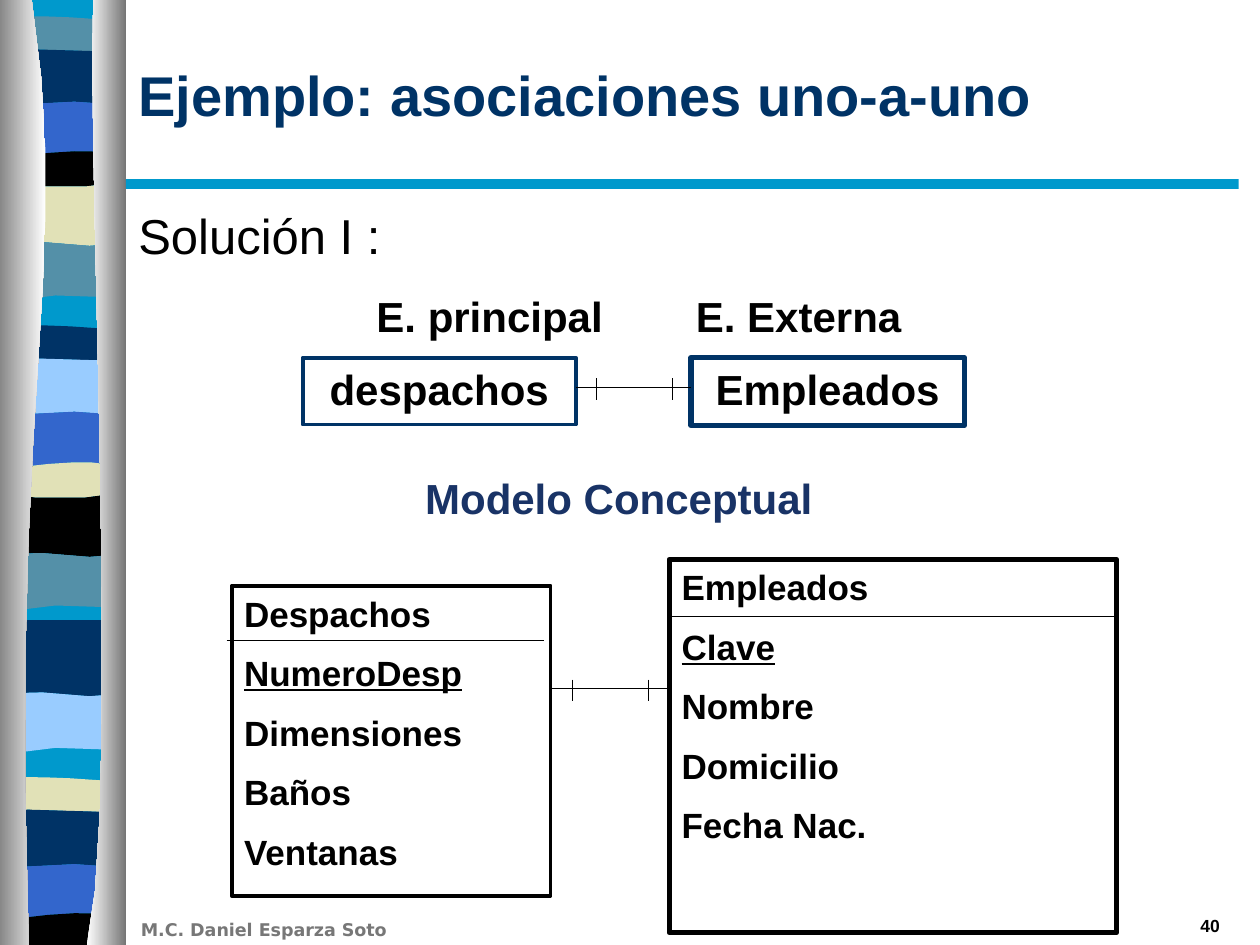
from lxml import etree
from pptx import Presentation
from pptx.dml.color import RGBColor
from pptx.enum.shapes import MSO_CONNECTOR, MSO_SHAPE
from pptx.enum.text import MSO_ANCHOR, PP_ALIGN
from pptx.oxml.ns import qn
from pptx.util import Cm, Pt

NAVY, CYAN, TEAL, BLUE = "003366", "0099CC", "5490A8", "3366CC"
SKY, SAND, BLACK, GREY = "99CCFF", "E1E1B7", "000000", "777777"
HEIGHT = 19.05
BAND_RIGHT = 2.49

deck = Presentation()
deck.slide_width, deck.slide_height = Cm(25.4), Cm(HEIGHT)
slide = deck.slides.add_slide(deck.slide_layouts[6])
shapes = slide.shapes


def draw_outline(*edges, steps=3):
    """Draw a shape from edges in cm, each a chain of cubic curves or a single corner."""
    points = []
    for edge in edges:
        points.append(edge[0])
        for first in range(0, len(edge) - 1, 3):
            curve = edge[first:first + 4]
            for step in range(1, steps + 1):
                t = step / steps
                weights = (1 - t) ** 3, 3 * t * (1 - t) ** 2, 3 * t * t * (1 - t), t ** 3
                points.append(tuple(sum(w * p[axis] for w, p in zip(weights, curve))
                                    for axis in (0, 1)))
    points = [(Cm(x), Cm(y)) for x, y in points]
    builder = shapes.build_freeform(*points[0])
    builder.add_line_segments(points[1:], close=True)
    outline = builder.convert_to_shape()
    outline.shadow.inherit = False
    outline.line.fill.background()
    return outline


def write(frame, lines, size, color=BLACK, align=PP_ALIGN.LEFT, underlined=None,
          bold=True, font="Arial", anchor=MSO_ANCHOR.TOP):
    frame.word_wrap = True
    frame.vertical_anchor = anchor
    for number, line in enumerate(lines):
        paragraph = frame.paragraphs[0] if number == 0 else frame.add_paragraph()
        paragraph.alignment = align
        paragraph.space_before = Pt(10 if number else 0)
        run = paragraph.add_run()
        run.text = line
        run.font.color.rgb = RGBColor.from_string(color)
        font_format = {"name": font, "size": Pt(size), "bold": bold,
                       "underline": line == underlined}
        for attribute, value in font_format.items():
            setattr(run.font, attribute, value)


# Wavy bands: every edge form is an offset from the band's own height
waves = {
    "flat": [(0, 0), (BAND_RIGHT / 3, 0), (BAND_RIGHT * 2 / 3, 0), (BAND_RIGHT, 0)],
    "crest": [(0, 0), (0.05, -0.13), (0.46, -0.1), (0.89, -0.1),
              (1.32, -0.1), (2.16, -0.03), (BAND_RIGHT, 0)],
    "lift": [(0, 0), (0.23, -0.13), (1.63, 0), (BAND_RIGHT, 0)],
    "dip": [(0, 0), (0.15, 0.13), (1.07, 0), (1.5, 0),
            (1.93, 0), (2.34, 0.13), (BAND_RIGHT, 0)],
    "arch": [(0, 0), (0.28, 0), (1.07, -0.13), (1.5, -0.13),
             (1.93, -0.13), (2.08, -0.13), (BAND_RIGHT, 0)],
    "sag": [(0, 0), (0.33, 0.15), (2.06, 0.15), (BAND_RIGHT, 0)],
    "swell": [(0, 0), (0.69, -0.15), (2.06, 0.2), (BAND_RIGHT, 0)],
    "ripple": [(0, 0), (0.33, 0.2), (0.69, -0.2), (BAND_RIGHT, 0)],
}
# A band without colour lets the cyan base show
bands = [
    (0.43, TEAL, "crest"), (1.05, NAVY, "lift"), (2.05, BLUE, "dip"),
    (3.18, BLACK, "arch"), (3.66, SAND, "sag"), (4.9, TEAL, "swell"),
    (6, None, "ripple"), (6.66, NAVY, "crest"), (7.28, SKY, "lift"),
    (8.3, BLUE, "dip"), (9.45, SAND, "arch"), (9.93, BLACK, "sag"),
    (11.17, TEAL, "swell"), (12.25, None, "ripple"), (12.5, NAVY, "flat"),
    (13.98, SKY, "swell"), (15.12, None, "ripple"), (15.77, SAND, "crest"),
    (16.38, NAVY, "lift"), (17.42, BLUE, "dip"), (18.54, BLACK, "arch"),
    (HEIGHT, None, "flat"),
]
base = shapes.add_shape(MSO_SHAPE.RECTANGLE, 0, 0, Cm(BAND_RIGHT), Cm(HEIGHT))
base.shadow.inherit = False
base.fill.solid()
base.fill.fore_color.rgb = RGBColor.from_string(CYAN)
base.line.fill.background()
for (top, color, wave), (bottom, _, next_wave) in zip(bands, bands[1:]):
    if color:
        upper = [(x, top + dy) for x, dy in waves[wave]]
        lower = [(x, bottom + dy) for x, dy in waves[next_wave]]
        band = draw_outline(upper, lower[::-1])
        band.fill.solid()
        band.fill.fore_color.rgb = RGBColor.from_string(color)

# Shaded columns on both sides of the bands
columns = [
    ([(0.64, 0), (1.47, 5.49), (0.18, 7.52), (0.58, HEIGHT)], 0, ("888888", "FFFFFF")),
    ([(1.88, 0), (1.75, 3.18), (2.44, 16.41), (1.75, HEIGHT)], 2.54, ("FFFFFF", "767676")),
]
for edge, side, shades in columns:
    column = draw_outline(edge, [(side, HEIGHT)], [(side, 0)], steps=10)
    column.fill.gradient()
    column.fill.gradient_angle = 0
    for stop, shade, position in zip(column.fill.gradient_stops, shades, (0, 1)):
        stop.color.rgb = RGBColor.from_string(shade)
        stop.position = position

title_rule = shapes.add_shape(MSO_SHAPE.RECTANGLE, Cm(2.54), Cm(3.61), Cm(22.43), Cm(0.2))
title_rule.shadow.inherit = False
title_rule.fill.solid()
title_rule.fill.fore_color.rgb = RGBColor.from_string(CYAN)
title_rule.line.fill.background()

# Free text
texts = [
    ((2.59, 18.4, 7.19, 0.69), "M.C. Daniel Esparza Soto",
     {"size": 10, "color": GREY, "font": "DejaVu Sans"}),
    ((19.56, 18.32, 5.28, 0.66), "40", {"size": 10, "align": PP_ALIGN.RIGHT}),
    ((2.54, 0.31, 22.3, 3.18), "Ejemplo: asociaciones uno-a-uno",
     {"size": 32, "color": NAVY, "anchor": MSO_ANCHOR.MIDDLE}),
    ((2.54, 4.02, 22.3, 14.6), "Solución I :", {"size": 28, "bold": False}),
    ((7.34, 5.73, 6, 1.27), "E. principal", {"size": 24}),
    ((13.78, 5.73, 6, 1.27), "E. Externa", {"size": 24}),
    ((5.49, 9.4, 13.97, 1.27), "Modelo Conceptual",
     {"size": 24, "color": "193366", "align": PP_ALIGN.CENTER}),
]
for box, text, style in texts:
    write(shapes.add_textbox(*map(Cm, box)).text_frame, [text], **style)

# Entities of the conceptual model and their tables
entities = [
    ((13.93, 7.21, 5.51, 1.37), NAVY, 3, ["Empleados"],
     {"size": 24, "align": PP_ALIGN.CENTER}),
    ((6.1, 7.21, 5.51, 1.35), NAVY, 2.25, ["despachos"],
     {"size": 24, "align": PP_ALIGN.CENTER}),
    ((4.67, 11.81, 6.43, 6.25), BLACK, 2.25,
     ["Despachos", "NumeroDesp", "Dimensiones", "Baños", "Ventanas"],
     {"size": 20, "underlined": "NumeroDesp"}),
    ((13.49, 11.28, 9.02, 7.52), BLACK, 3,
     ["Empleados", "Clave", "Nombre", "Domicilio", "Fecha Nac."],
     {"size": 20, "underlined": "Clave"}),
]
for box, color, weight, lines, style in entities:
    entity = shapes.add_shape(MSO_SHAPE.RECTANGLE, *map(Cm, box))
    entity.shadow.inherit = False
    entity.fill.background()
    entity.line.color.rgb = RGBColor.from_string(color)
    entity.line.width = Pt(weight)
    write(entity.text_frame, lines, **style)

# Header rules, then one-to-one relations with a tick near each end
strokes = [(4.57, 12.91, 10.97, 12.91), (13.54, 12.43, 22.53, 12.43)]
for x, y in [(11.61, 7.81), (11.13, 13.88)]:
    strokes.append((x, y, x + 2.31, y))
    strokes += [(x + tick, y - 0.18, x + tick, y + 0.25) for tick in (0.41, 1.95)]
for ends in strokes:
    stroke = shapes.add_connector(MSO_CONNECTOR.STRAIGHT, *map(Cm, ends))
    stroke.line.color.rgb = RGBColor.from_string(BLACK)
    stroke.line.width = Pt(0.75)
    etree.SubElement(stroke._element.spPr, qn("a:effectLst"))

deck.save("out.pptx")
